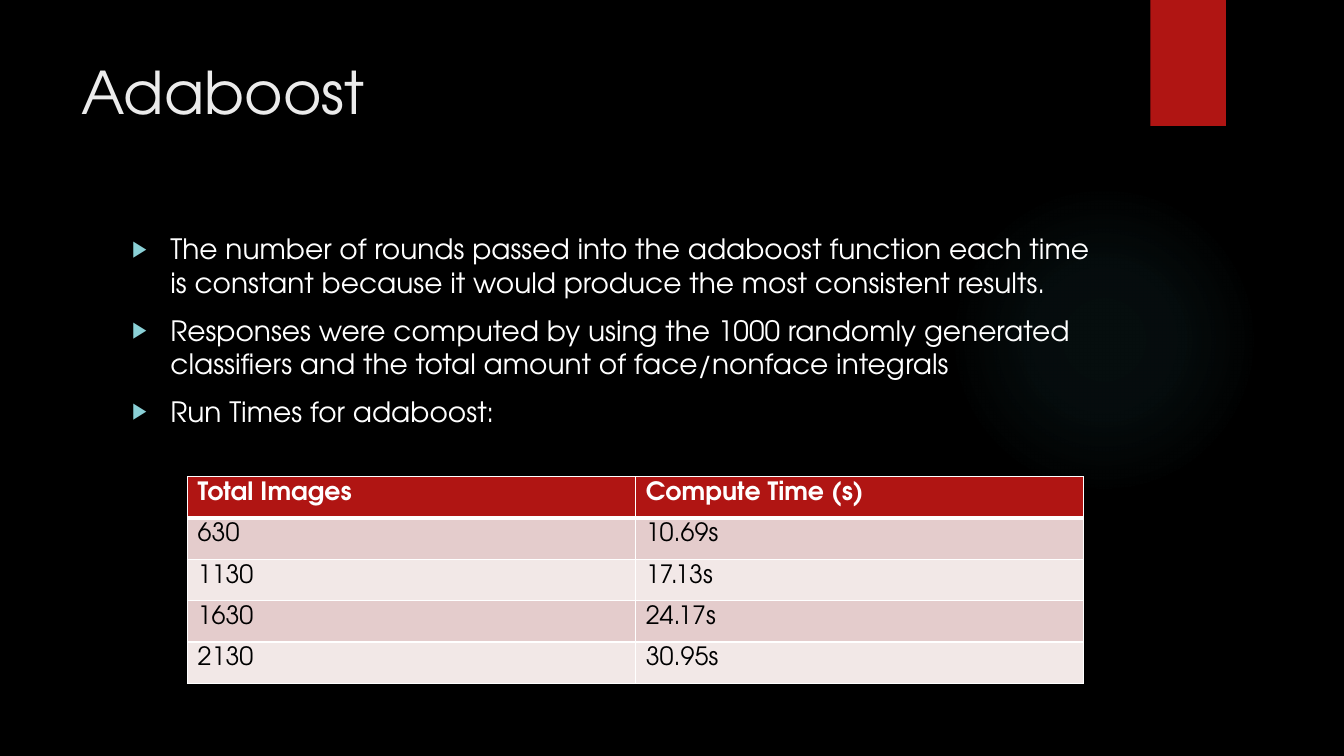
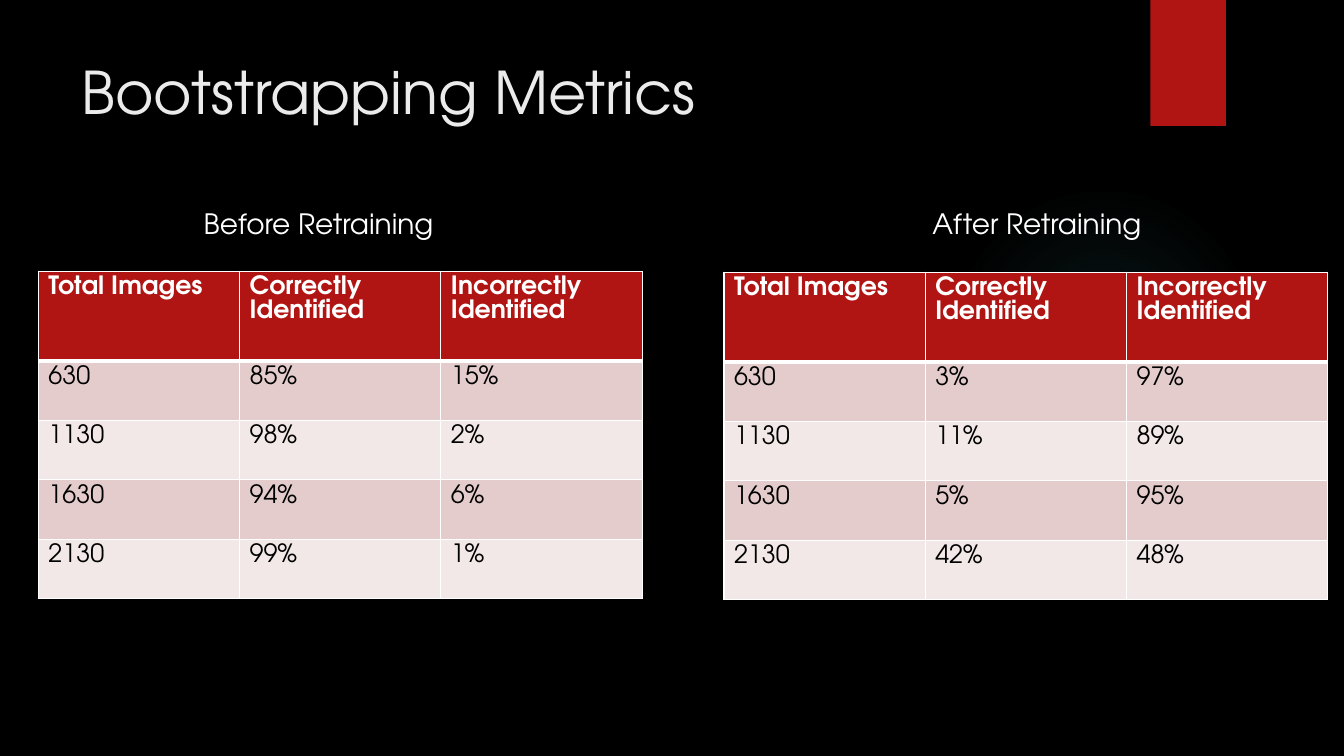
import pptx
import pptx.dml.color
import pptx.enum.shapes
import pptx.enum.text
import pptx.oxml
import pptx.oxml.ns
import pptx.util

Inches, Pt = pptx.util.Inches, pptx.util.Pt
rgb = pptx.dml.color.RGBColor.from_string
SHAPE = pptx.enum.shapes.MSO_SHAPE
LEFT = pptx.enum.text.PP_ALIGN.LEFT
TOP = pptx.enum.text.MSO_ANCHOR.TOP
FONT = "TeX Gyre Adventor"
RED, WHITE, BLACK, TITLE, GLOW, BULLET = "B01513", "FFFFFF", "000000", "EBEBEB", "50B9C1", "8AD0D6"
BANDS = ["E4CCCC", "F2E8E7"]


def xml(text):
    return pptx.oxml.parse_xml(text.replace(" ", f" {pptx.oxml.ns.nsdecls('a')} ", 1))


def write(p, text, size, color, bold=False):
    p.alignment = LEFT
    r = p.add_run()
    r.text = text
    r.font.name, r.font.size, r.font.bold = FONT, Pt(size), bold
    r.font.color.rgb = rgb(color)


prs = pptx.Presentation()
prs.slide_width, prs.slide_height = Inches(13.33), Inches(7.5)
prs.slide_master.background.fill.solid()
prs.slide_master.background.fill.fore_color.rgb = rgb(BLACK)
layout = prs.slide_layouts[1]
title = layout.placeholders[0]
title.left, title.top, title.width, title.height = map(Inches, (0.71, 0.5, 10.29, 1.53))
title.text_frame.vertical_anchor = TOP

slides = [
    {
        "title": "Adaboost",
        "body": (1.21, 2.25, 9.78, 4.59),
        "bulleted": True,
        "lines": [
            "The number of rounds passed into the adaboost function each time is constant because it would produce the most consistent results.",
            "Responses were computed by using the 1000 randomly generated classifiers and the total amount of face/nonface integrals",
            "Run Times for adaboost:",
        ],
        "captions": [],
        "tables": [
            (1.86, 4.73, 8.89, 0.41, 0.41, [
                ["Total Images", "Compute Time (s)"],
                ["630", "10.69s"],
                ["1130", "17.13s"],
                ["1630", "24.17s"],
                ["2130", "30.95s"],
            ]),
        ],
    },
    {
        "title": "Bootstrapping Metrics",
        "body": (1.92, 2, 3.27, 0.6),
        "bulleted": False,
        "lines": ["Before Retraining"],
        "captions": [("After Retraining", (9.15, 2, 3.27, 0.6))],
        "tables": [
            (0.38, 2.69, 5.99, 0.89, 0.59, [
                ["Total Images", "Correctly Identified", "Incorrectly Identified"],
                ["630", "85%", "15%"],
                ["1130", "98%", "2%"],
                ["1630", "94%", "6%"],
                ["2130", "99%", "1%"],
            ]),
            (7.18, 2.7, 5.99, 0.89, 0.59, [
                ["Total Images", "Correctly Identified", "Incorrectly Identified"],
                ["630", "3%", "97%"],
                ["1130", "11%", "89%"],
                ["1630", "5%", "95%"],
                ["2130", "42%", "48%"],
            ]),
        ],
    },
]

for content in slides:
    s = prs.slides.add_slide(layout)
    write(s.shapes.title.text_frame.paragraphs[0], content["title"], 42, TITLE)

    body = s.placeholders[1]
    body.left, body.top, body.width, body.height = map(Inches, content["body"])
    tf = body.text_frame
    tf.vertical_anchor = TOP
    for i, line in enumerate(content["lines"]):
        p = tf.add_paragraph() if i else tf.paragraphs[0]
        write(p, line, 20, WHITE)
        p.space_before = Pt(10)
        pPr = p._p.get_or_add_pPr()
        indent = Inches(0.38) if content["bulleted"] else 0
        pPr.set("marL", str(indent))
        pPr.set("indent", str(-indent))
        if content["bulleted"]:
            pPr.append(xml(f'<a:buClr ><a:srgbClr val="{BULLET}"/></a:buClr>'))
            pPr.append(xml('<a:buSzPct val="80000"/>'))
            pPr.append(xml('<a:buChar char="▶"/>'))
        else:
            pPr.append(xml('<a:buNone />'))

    for caption, box in content["captions"]:
        tf = s.shapes.add_textbox(*map(Inches, box)).text_frame
        tf.word_wrap = True
        tf.vertical_anchor = TOP
        p = tf.paragraphs[0]
        p.space_before = Pt(10)
        write(p, caption, 20, WHITE)

    for left, top, width, head, row, rows in content["tables"]:
        cols = len(rows[0])
        height = head + row * (len(rows) - 1)
        table = s.shapes.add_table(len(rows), cols, *map(Inches, (left, top, width, height))).table
        table.first_row = table.horz_banding = False
        for column in table.columns:
            column.width = Inches(width / cols)
        for y, values in enumerate(rows):
            table.rows[y].height = Inches(row if y else head)
            for x, value in enumerate(values):
                cell = table.cell(y, x)
                cell.fill.solid()
                cell.fill.fore_color.rgb = rgb(BANDS[(y - 1) % 2] if y else RED)
                write(cell.text_frame.paragraphs[0], value, 18, BLACK if y else WHITE, y == 0)
                tcPr = cell._tc.get_or_add_tcPr()
                for i, side in enumerate("LRTB"):
                    weight = 3 if (y, side) in [(0, "B"), (1, "T")] else 1
                    tcPr.insert(i, xml(
                        f'<a:ln{side} w="{Pt(weight)}"><a:solidFill><a:srgbClr val="{WHITE}"/>'
                        f'</a:solidFill></a:ln{side}>'))

shapes = prs.slides[0].shapes
glow = shapes.add_shape(SHAPE.OVAL, *map(Inches, (9.41, 1.83, 3.08, 3.08)))
ribbon = shapes.add_shape(SHAPE.RECTANGLE, *map(Inches, (11.41, 0, 0.75, 1.25)))
for i, sp in enumerate([glow, ribbon]):
    sp.shadow.inherit = False
    sp.line.fill.background()
    sp.fill.solid()
    sp.fill.fore_color.rgb = rgb(RED)
    sp.element.nvSpPr.cNvPr.set("id", str(20 + i))
    layout.shapes.element.insert(2 + i, sp.element)

stops = "".join(
    f'<a:gs pos="{pos}000"><a:srgbClr val="{GLOW}"><a:alpha val="{alpha}000"/></a:srgbClr></a:gs>'
    for pos, alpha in [(0, 7), (36, 6), (69, 0)])
spPr = glow.element.spPr
spPr.replace(spPr.find(pptx.oxml.ns.qn("a:solidFill")), xml(
    f'<a:gradFill rotWithShape="1"><a:gsLst>{stops}</a:gsLst><a:path path="circle">'
    '<a:fillToRect l="50000" t="50000" r="50000" b="50000"/></a:path></a:gradFill>'))
ribbon.element.spPr.find(pptx.oxml.ns.qn("a:effectLst")).append(xml(
    f'<a:outerShdw blurRad="{Pt(3)}" dist="{Pt(2)}" dir="5400000" rotWithShape="0">'
    f'<a:srgbClr val="{BLACK}"><a:alpha val="45000"/></a:srgbClr></a:outerShdw>'))

prs.save("out.pptx")
